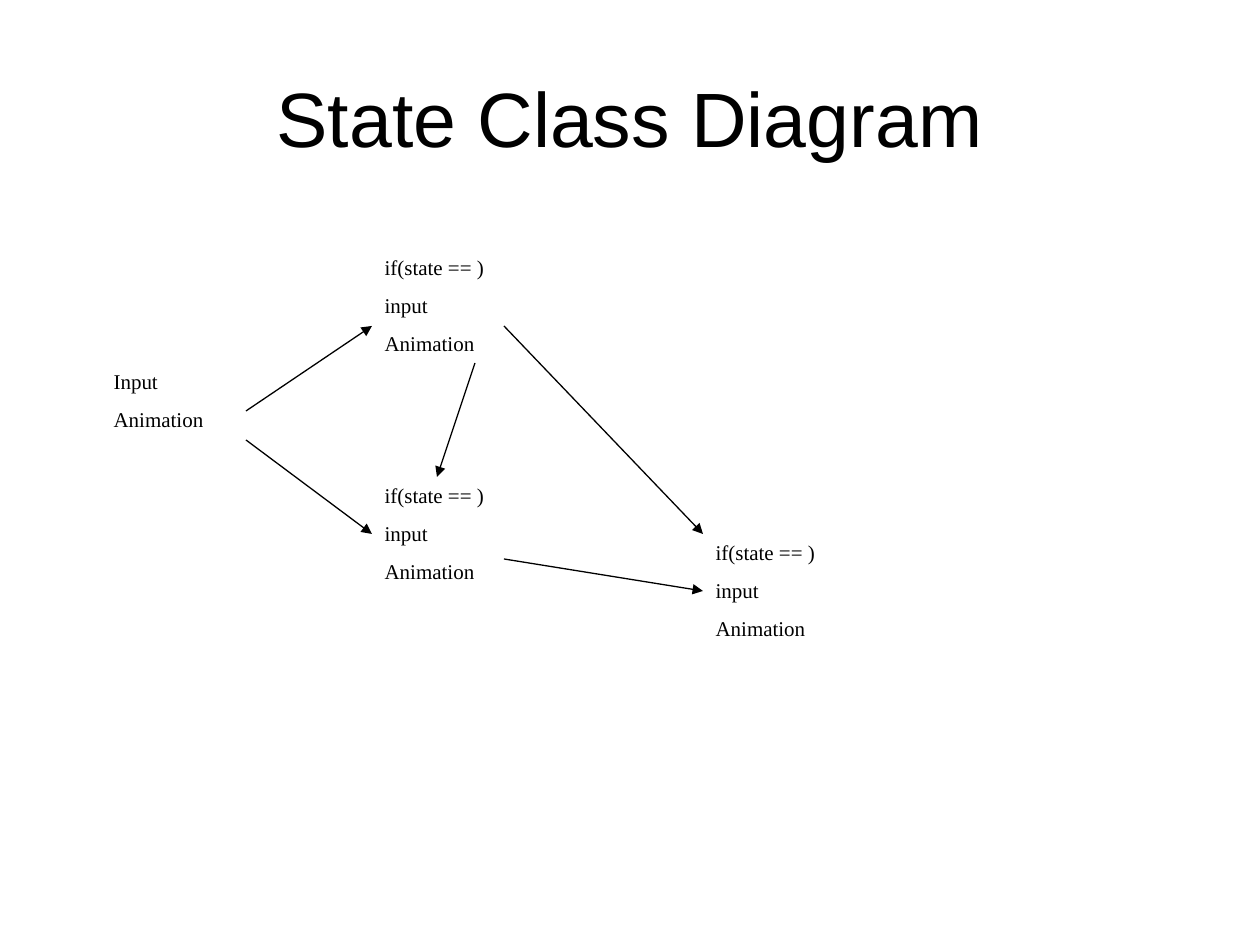
from dataclasses import dataclass

from lxml.etree import SubElement
from pptx import Presentation
from pptx.dml.color import RGBColor
from pptx.enum.shapes import MSO_CONNECTOR
from pptx.enum.text import MSO_ANCHOR, PP_ALIGN
from pptx.oxml.ns import qn
from pptx.slide import Slide
from pptx.util import Emu, Pt

PIXEL = 914400 // 126
BLACK = "000000"
STATE_WIDTH, ROW_HEIGHT = 207, 38
STEPS = ("if(state == )", "input", "Animation")


@dataclass(frozen=True)
class State:
    """A table of lines, one per row, at its top left corner."""
    left: int
    top: int
    lines: tuple[str, ...] = STEPS


@dataclass(frozen=True)
class Transition:
    """An arrow between two points."""
    start: tuple[int, int]
    end: tuple[int, int]


STATES = (
    State(101, 363, ("Input", "Animation")),
    State(372, 249),
    State(372, 477),
    State(703, 534),
)
TRANSITIONS = (
    Transition((246, 411), (372, 326)),
    Transition((246, 440), (372, 534)),
    Transition((475, 363), (437, 477)),
    Transition((504, 326), (703, 534)),
    Transition((504, 559), (703, 591)),
)


def px(length: int) -> Emu:
    """Turn pixels into EMU."""
    return Emu(length * PIXEL)


def color(value: str) -> RGBColor:
    """Turn a hex string into a colour."""
    return RGBColor.from_string(value)


def add_text(para, text: str, size: int, font: str) -> None:
    """Add one formatted run to a paragraph."""
    span = para.add_run()
    span.text = text
    span.font.size = Pt(size)
    span.font.name = font
    span.font.bold = False
    span.font.color.rgb = color(BLACK)


def add_title(page: Slide, text: str) -> None:
    """Place and fill the title placeholder."""
    title = page.shapes.title
    title.left, title.top, title.width, title.height = map(px, (63, 38, 1134, 157))
    title.text_frame.vertical_anchor = MSO_ANCHOR.MIDDLE
    para = title.text_frame.paragraphs[0]
    para.alignment = PP_ALIGN.CENTER
    add_text(para, text, 44, "Arial")


def add_state(page: Slide, state: State) -> None:
    """Draw a state as a plain table with one column."""
    count = len(state.lines)
    table = page.shapes.add_table(
        count, 1, px(state.left), px(state.top),
        px(STATE_WIDTH), px(ROW_HEIGHT * count)).table
    table.first_row = table.horz_banding = False
    for index, line in enumerate(state.lines):
        cell = table.cell(index, 0)
        cell.fill.background()
        cell.vertical_anchor = MSO_ANCHOR.MIDDLE
        para = cell.text_frame.paragraphs[0]
        para.space_before = Pt(3)
        add_text(para, line, 12, "Times New Roman")


def add_transition(page: Slide, transition: Transition) -> None:
    """Draw a thin arrow without shadow."""
    arrow = page.shapes.add_connector(
        MSO_CONNECTOR.STRAIGHT,
        *map(px, transition.start + transition.end))
    arrow.line.color.rgb = color(BLACK)
    arrow.line.width = Pt(0.74)
    SubElement(arrow.line._get_or_add_ln(), qn("a:tailEnd"), type="triangle")
    SubElement(arrow._element.spPr, qn("a:effectLst"))


def main() -> None:
    """Build the deck and save it."""
    deck = Presentation()
    deck.slide_width, deck.slide_height = px(1260), px(945)
    page = deck.slides.add_slide(deck.slide_layouts[5])
    add_title(page, "State Class Diagram")
    for state in STATES:
        add_state(page, state)
    for transition in TRANSITIONS:
        add_transition(page, transition)
    deck.save("out.pptx")


main()
